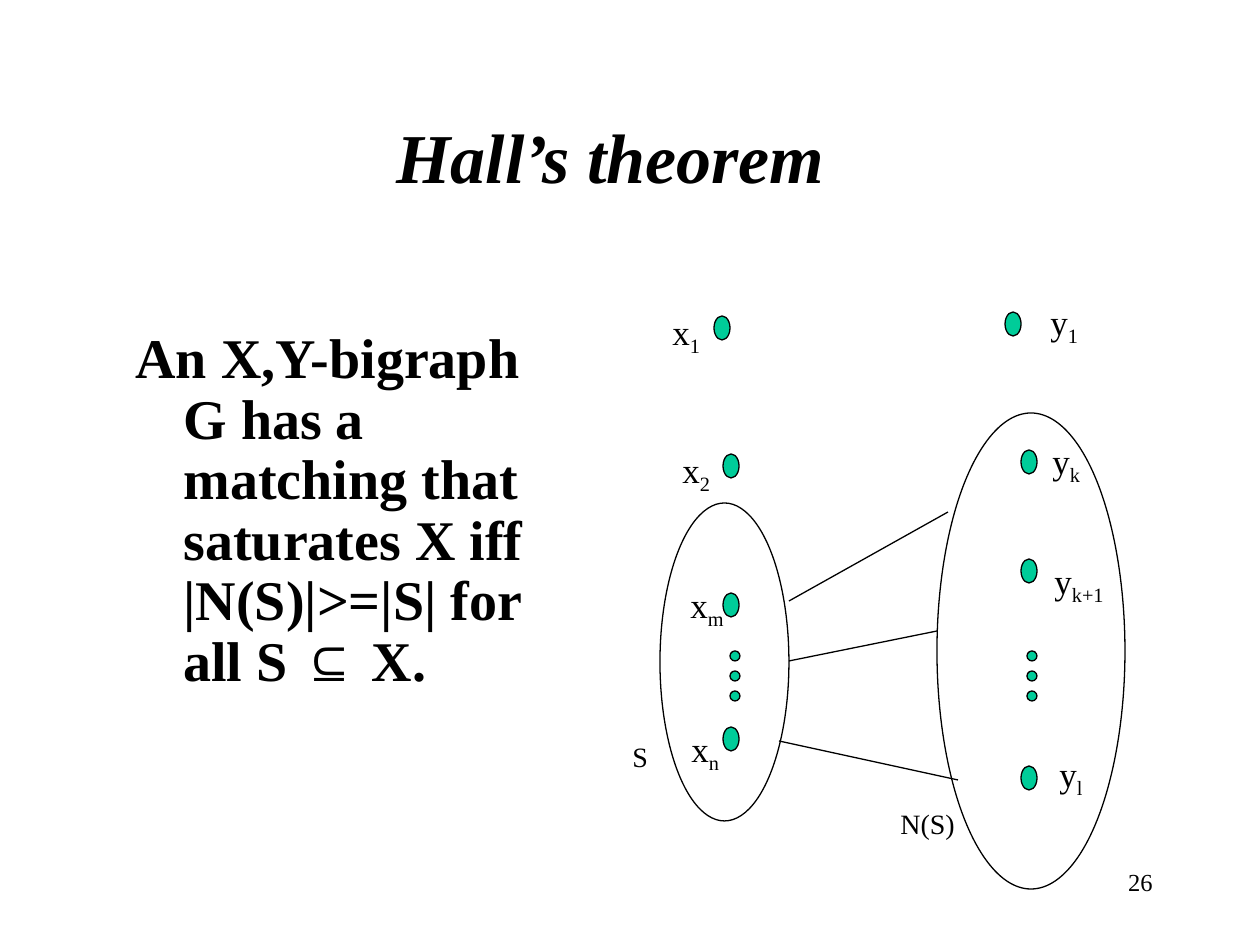
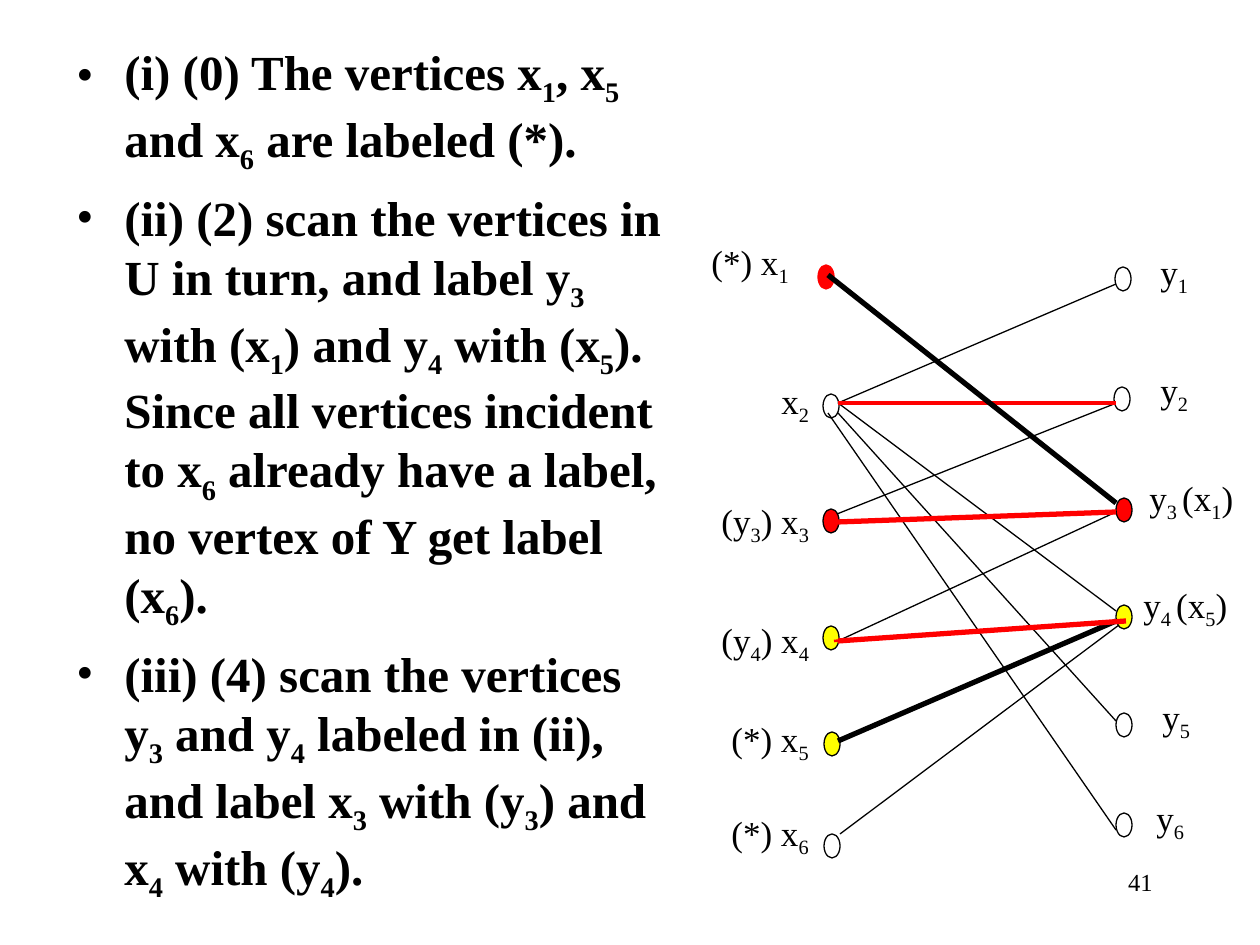
from dataclasses import dataclass
from lxml.etree import SubElement
from pptx import Presentation
from pptx.dml.color import RGBColor
from pptx.enum.shapes import MSO_CONNECTOR, MSO_SHAPE
from pptx.enum.text import MSO_ANCHOR, PP_ALIGN
from pptx.oxml.ns import qn
from pptx.util import Emu, Pt


@dataclass(frozen=True)
class Theme:
    font: str = "Times New Roman"
    symbol_font: str = "Arial"
    black: str = "000000"
    green: str = "00CC99"
    red: str = "FF0000"
    yellow: str = "FFFF00"
    title: int = 40
    theorem: int = 32
    steps: int = 28
    label: int = 20
    set_label: int = 16
    page: int = 14
    thin: float = 0.75
    medium: float = 1.5
    strong: float = 2.25
    thick: float = 3


THEME = Theme()
PX_PER_INCH = 126
SLIDE_SIZE = (1260, 945)
VERTEX_SIZE = (16, 24)
DOT_SIZE = (10, 10)
LABEL_SIZE = (82, 60)
HANGING = 48


def px(length):
    return Emu(round(length * 914400 / PX_PER_INCH))


def within(box, x, y, size):
    return box[0] + x, box[1] + y, *size


def add_runs(paragraph, text, size, bold, italic):
    for index, piece in enumerate(text.split("~")):
        for part in piece.partition("⊆"):
            if not part:
                continue
            run = paragraph.add_run()
            run.text = part
            font = run.font
            font.name = THEME.symbol_font if part == "⊆" else THEME.font
            font.size = Pt(size)
            font.bold = bold
            font.italic = italic
            font.color.rgb = RGBColor.from_string(THEME.black)
            if index % 2:
                run._r.get_or_add_rPr().set("baseline", "-25000")


def add_text(slide, box, text, size=THEME.label, bold=False, italic=False,
             align=PP_ALIGN.LEFT, anchor=MSO_ANCHOR.TOP, hanging=0,
             bullet=False, spacing=None, before=0):
    frame = slide.shapes.add_textbox(*map(px, box)).text_frame
    frame.word_wrap = True
    frame.vertical_anchor = anchor
    for index, line in enumerate(text.split("\n")):
        paragraph = frame.add_paragraph() if index else frame.paragraphs[0]
        paragraph.alignment = align
        if spacing:
            paragraph.line_spacing = spacing
        if index and before:
            paragraph.space_before = Pt(before)
        properties = paragraph._p.get_or_add_pPr()
        if hanging:
            properties.set("marL", str(px(hanging)))
            properties.set("indent", str(-px(hanging)))
        if bullet:
            SubElement(properties, qn("a:buFont"), typeface=THEME.font)
            SubElement(properties, qn("a:buChar"), char="•")
        add_runs(paragraph, line, size, bold, italic)


def add_ellipse(slide, box, fill=None, line=THEME.black):
    ellipse = slide.shapes.add_shape(MSO_SHAPE.OVAL, *map(px, box))
    ellipse.shadow.inherit = False
    if fill:
        ellipse.fill.solid()
        ellipse.fill.fore_color.rgb = RGBColor.from_string(fill)
    else:
        ellipse.fill.background()
    ellipse.line.color.rgb = RGBColor.from_string(line)
    ellipse.line.width = Pt(THEME.thin)


def add_edge(slide, box, ends, color=THEME.black, width=THEME.thin):
    x1, y1, x2, y2 = ends
    points = (box[0] + x1, box[1] + y1, box[0] + x2, box[1] + y2)
    edge = slide.shapes.add_connector(MSO_CONNECTOR.STRAIGHT, *map(px, points))
    edge.line.color.rgb = RGBColor.from_string(color)
    edge.line.width = Pt(width)
    SubElement(edge._element.spPr, qn("a:effectLst"))


def add_page_number(slide, number):
    add_text(slide, (903, 861, 262, 63), str(number), size=THEME.page,
             align=PP_ALIGN.RIGHT)


def draw_neighbourhood(slide, box):
    vertices = [
        ("x~1~", (94, 27), (40, 15)),
        ("x~2~", (103, 165), (50, 153)),
        ("x~m~", (103, 304), (58, 288)),
        ("x~n~", (103, 438), (59, 432)),
        ("y~1~", (385, 23), (418, 5)),
        ("y~k~", (401, 161), (420, 144)),
        ("y~k+1~", (401, 270), (422, 264)),
        ("y~l~", (401, 477), (427, 457)),
    ]
    for name, spot, name_spot in vertices:
        add_ellipse(slide, within(box, *spot, VERTEX_SIZE), THEME.green)
        add_text(slide, within(box, *name_spot, LABEL_SIZE), name)
    for ends in [(169, 312, 328, 223), (169, 372, 317, 342),
                 (159, 452, 338, 491)]:
        add_edge(slide, box, ends)
    for x, y, size in [(40, 214, (129, 318)), (317, 124, (188, 476))]:
        add_ellipse(slide, within(box, x, y, size))
    for x in (110, 407):
        for row in range(3):
            add_ellipse(slide, within(box, x, 362 + 20 * row, DOT_SIZE),
                        THEME.green)
    for name, x, y, width in [("S", 0, 444, 49), ("N(S)", 268, 511, 84)]:
        add_text(slide, within(box, x, y, (width, 47)), name,
                 size=THEME.set_label)


def draw_matching(slide, box):
    red, yellow, black = THEME.red, THEME.yellow, THEME.black
    vertices = [
        ("(*) x~1~", (119, 31), red, (0, 0), 108),
        ("x~2~", (124, 160), None, (70, 139), 82),
        ("(y~3~) x~3~", (124, 275), red, (10, 259), 129),
        ("(y~4~) x~4~", (124, 392), yellow, (10, 378), 149),
        ("(*) x~5~", (125, 498), yellow, (20, 477), 132),
        ("(*) x~6~", (125, 600), None, (20, 571), 142),
        ("y~1~", (416, 33), None, (449, 10), 82),
        ("y~2~", (415, 153), None, (449, 128), 82),
        ("y~3 ~(x~1~)", (417, 264), red, (438, 236), 112),
        ("y~4 ~(x~5~)", (417, 371), yellow, (432, 343), 112),
        ("y~5~", (417, 479), None, (451, 455), 82),
        ("y~6~", (417, 579), None, (445, 556), 82),
    ]
    for name, spot, fill, name_spot, width in vertices:
        outline = red if name == "(*) x~1~" else black
        add_ellipse(slide, within(box, *spot, VERTEX_SIZE), fill, outline)
        add_text(slide, within(box, *name_spot, (width, LABEL_SIZE[1])), name)

    free_edges = [
        (139, 169, 417, 50), (139, 169, 417, 377), (139, 179, 417, 487),
        (129, 179, 417, 596), (138, 280, 415, 170), (139, 407, 417, 278),
        (141, 600, 420, 391),
    ]
    for ends in free_edges:
        add_edge(slide, box, ends)
    marked_edges = [
        ((135, 407, 424, 387), red, THEME.medium),
        ((139, 169, 417, 169), red, THEME.strong),
        ((129, 41, 417, 269), black, THEME.thick),
        ((139, 507, 417, 387), black, THEME.thick),
        ((139, 288, 417, 278), red, THEME.thick),
        ((139, 407, 427, 387), red, THEME.thick),
    ]
    for ends, color, width in marked_edges:
        add_edge(slide, box, ends, color, width)


def build_theorem(slide):
    add_page_number(slide, 26)
    add_text(slide, (164, 77, 893, 158), "Hall’s theorem", size=THEME.title,
             bold=True, italic=True, align=PP_ALIGN.CENTER,
             anchor=MSO_ANCHOR.MIDDLE)
    add_text(slide, (123, 324, 436, 486),
             "An X,Y-bigraph G has a matching that saturates X iff "
             "|N(S)|>=|S| for all S ⊆ X.",
             size=THEME.theorem, bold=True, hanging=HANGING, spacing=0.9)
    draw_neighbourhood(slide, (620, 289, 506, 601))


def build_labelling(slide):
    steps = [
        "(i) (0) The vertices x~1~, x~5~ and x~6~ are labeled (*).",
        "(ii) (2) scan the vertices in U in turn, and label y~3~ with "
        "(x~1~) and y~4~ with (x~5~). Since all vertices incident to x~6~ "
        "already have a label, no vertex of Y get label (x~6~).",
        "(iii) (4) scan the vertices y~3~ and y~4~ labeled in (ii), and "
        "label x~3~ with (y~3~) and x~4~ with (y~4~).",
    ]
    add_page_number(slide, 41)
    add_text(slide, (64, 35, 615, 873), "\n".join(steps), size=THEME.steps,
             bold=True, hanging=HANGING, bullet=True, before=7)
    draw_matching(slide, (699, 234, 550, 631))


def main():
    deck = Presentation()
    deck.slide_width, deck.slide_height = map(px, SLIDE_SIZE)
    for build in (build_theorem, build_labelling):
        build(deck.slides.add_slide(deck.slide_layouts[6]))
    deck.save("out.pptx")


if __name__ == "__main__":
    main()
